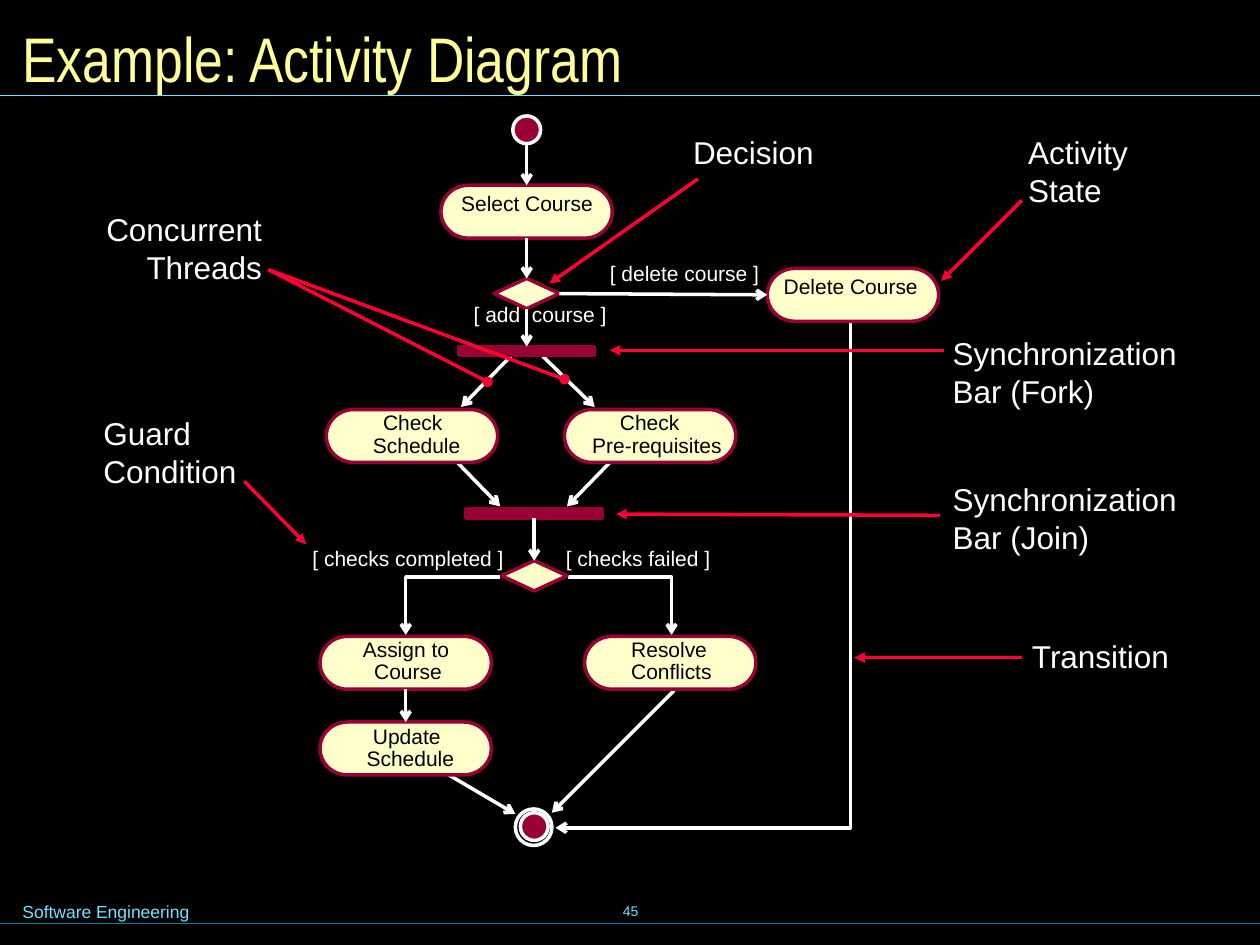
from dataclasses import dataclass

from lxml.etree import SubElement
from pptx import Presentation
from pptx.dml.color import RGBColor as RGB
from pptx.enum.shapes import MSO_CONNECTOR as CONN, MSO_SHAPE as SHAPE
from pptx.enum.text import MSO_ANCHOR as ANCHOR, PP_ALIGN as ALIGN
from pptx.oxml.ns import qn
from pptx.util import Inches, Pt


@dataclass(frozen=True)
class Theme:
    black: RGB = RGB.from_string("000000")
    white: RGB = RGB.from_string("FFFFFF")
    cream: RGB = RGB.from_string("FFFFCC")
    maroon: RGB = RGB.from_string("990033")
    red: RGB = RGB.from_string("FF0033")
    yellow: RGB = RGB.from_string("FFFF99")
    sky: RGB = RGB.from_string("73E1FF")
    teal: RGB = RGB.from_string("007E9F")
    title: int = 36
    callout: int = 18
    label: int = 12
    footer: int = 10
    number: int = 8
    stroke: float = 2
    rule: float = 0.75


T = Theme()

prs = Presentation()
prs.slide_width, prs.slide_height = Inches(10), Inches(7.5)
s = prs.slides.add_slide(prs.slide_layouts[6])
s.background.fill.solid()
s.background.fill.fore_color.rgb = T.black


def add_text(text, x, y, w, h, size=T.label, color=T.white, font="Arial",
             align=ALIGN.LEFT, anchor=ANCHOR.TOP, inset=(0, 0), wrap=True):
    tf = s.shapes.add_textbox(Inches(x), Inches(y), Inches(w), Inches(h)).text_frame
    tf.word_wrap = wrap
    tf.vertical_anchor = anchor
    tf.margin_left = tf.margin_right = Inches(inset[0])
    tf.margin_top = tf.margin_bottom = Inches(inset[1])
    for i, line in enumerate(text.split("\n")):
        p = tf.paragraphs[0] if i == 0 else tf.add_paragraph()
        p.alignment = align
        r = p.add_run()
        r.text = line
        r.font.name, r.font.size, r.font.color.rgb = font, Pt(size), color


def add_path(*points, color=T.white, width=T.stroke, end="arrow"):
    """Draw a connector through two points, or an open outline through more."""
    pts = [(Inches(x), Inches(y)) for x, y in points]
    if len(pts) == 2:
        sp = s.shapes.add_connector(CONN.STRAIGHT, *pts[0], *pts[1])
    else:
        builder = s.shapes.build_freeform(*pts[0])
        builder.add_line_segments(pts[1:], close=False)
        sp = builder.convert_to_shape()
        sp.fill.background()
    sp.line.color.rgb = color
    sp.line.width = Pt(width)
    if end:
        SubElement(sp.line._get_or_add_ln(), qn("a:tailEnd"), type=end)
    SubElement(sp._element.spPr, qn("a:effectLst"))
    return sp


# Title, rules and footer
add_path((0, 7.33), (10, 7.33), color=T.teal, width=T.rule, end=None)
add_path((0, 0.76), (10, 0.76), color=T.sky, width=T.rule, end=None)
add_text("45", 3.42, 6.98, 3.17, 0.5, size=T.number, color=T.sky,
         align=ALIGN.CENTER, anchor=ANCHOR.MIDDLE, inset=(0.1, 0.05))
add_text("Software Engineering", 0.08, 7.1, 2.95, 0.27, size=T.footer,
         color=T.sky, inset=(0.1, 0.05))
add_text("Example: Activity Diagram", 0.08, 0.08, 9.84, 0.75, size=T.title,
         color=T.yellow, font="Arial Narrow", anchor=ANCHOR.MIDDLE, inset=(0.1, 0.05))

# Transitions that start or end away from the middle of a side
for route in [
    [(3.61, 3.65), (3.97, 4.02)],
    [(4.86, 3.65), (4.5, 4.02)],
    [(4.09, 2.79), (3.66, 3.23)],
    [(4.28, 2.8), (4.72, 3.23)],
    [(3.51, 6.12), (4.09, 6.46)],
    [(5.35, 5.48), (4.38, 6.45)],
    [(6.75, 2.54), (6.75, 6.57), (4.41, 6.57)],
    [(3.97, 4.58), (3.22, 4.58), (3.22, 5.04)],
    [(4.51, 4.58), (5.33, 4.58), (5.33, 5.04)],
]:
    add_path(*route)

# Nodes
STATE = (SHAPE.FLOWCHART_TERMINATOR, 1.36, 0.42, T.cream, T.maroon)
DECISION = (SHAPE.DIAMOND, 0.52, 0.24, T.cream, T.maroon)
BAR = (SHAPE.RECTANGLE, 1.08, 0.07, T.maroon, T.maroon)
DOT = (SHAPE.OVAL, 0.22, 0.22, T.maroon, T.white)
RING = (SHAPE.OVAL, 0.29, 0.29, None, T.white)
nodes = {}
for name, (kind, w, h, fill, line), x, y in [
    ("start", DOT, 4.07, 0.92),
    ("select", STATE, 3.5, 1.47),
    ("delete", STATE, 6.09, 2.13),
    ("schedule", STATE, 2.59, 3.25),
    ("prerequisites", STATE, 4.48, 3.25),
    ("assign", STATE, 2.54, 5.05),
    ("resolve", STATE, 4.64, 5.05),
    ("update", STATE, 2.54, 5.73),
    ("choice", DECISION, 3.92, 2.21),
    ("check", DECISION, 3.98, 4.45),
    ("fork", BAR, 3.64, 2.75),
    ("join", BAR, 3.7, 4.04),
    ("end ring", RING, 4.09, 6.42),
    ("end", DOT, 4.13, 6.45),
]:
    sp = nodes[name] = s.shapes.add_shape(kind, Inches(x), Inches(y), Inches(w), Inches(h))
    sp.shadow.inherit = False
    if fill is None:
        sp.fill.background()
    else:
        sp.fill.solid()
        sp.fill.fore_color.rgb = fill
    sp.line.color.rgb = line
    sp.line.width = Pt(T.stroke)

# Transitions joined to the nodes
add_path((4.18, 1.14), (4.18, 1.47)).end_connect(nodes["select"], 0)
for source, side, target, target_side in [
    ("select", 2, "choice", 0),
    ("choice", 3, "delete", 1),
    ("choice", 2, "fork", 0),
    ("join", 2, "check", 0),
    ("assign", 2, "update", 0),
]:
    link = add_path((0, 0), (1, 1))
    link.begin_connect(nodes[source], side)
    link.end_connect(nodes[target], target_side)

# State names, line by line
for text, x, y, w in [
    ("Select Course", 3.66, 1.51, 1.05),
    ("Delete Course", 6.22, 2.17, 1.07),
    ("Check", 3.04, 3.25, 0.52),
    ("Schedule", 2.96, 3.43, 0.7),
    ("Check", 4.92, 3.25, 0.52),
    ("Pre-requisites", 4.7, 3.43, 1.03),
    ("Assign to", 2.88, 5.05, 0.73),
    ("Course", 2.97, 5.23, 0.54),
    ("Resolve", 5.01, 5.05, 0.65),
    ("Conflicts", 5.01, 5.23, 0.64),
    ("Update", 2.96, 5.74, 0.58),
    ("Schedule", 2.91, 5.92, 0.7),
]:
    add_text(text, x, y, w, 0.2, color=T.black, wrap=False)

# Guard conditions
for text, x, y, w in [
    ("[ delete course ]", 4.84, 2.07, 1.19),
    ("[ add  course ]", 3.76, 2.39, 1.1),
    ("[ checks completed ]", 2.48, 4.33, 1.52),
    ("[ checks failed ]", 4.49, 4.33, 1.15),
]:
    add_text(text, x, y, w, 0.2, wrap=False)

# Callouts and their pointers
for text, x, y, w, h, align in [
    ("Decision", 5.38, 1, 1.21, 0.42, ALIGN.LEFT),
    ("Activity State", 8.04, 1, 1.05, 0.72, ALIGN.LEFT),
    ("Concurrent Threads", 0.53, 1.61, 1.67, 0.72, ALIGN.RIGHT),
    ("Synchronization\nBar (Fork)", 7.44, 2.59, 2.05, 0.72, ALIGN.LEFT),
    ("Guard\nCondition", 0.7, 3.23, 1.31, 0.72, ALIGN.LEFT),
    ("Synchronization\nBar (Join)", 7.44, 3.75, 2.05, 0.72, ALIGN.LEFT),
    ("Transition", 8.07, 5, 1.42, 0.42, ALIGN.LEFT),
]:
    add_text(text, x, y, w, h, size=T.callout, align=align, inset=(0.12, 0.06))

for start, tip, end in [
    ((5.54, 1.42), (4.36, 2.25), "triangle"),
    ((8.11, 1.59), (7.47, 2.23), "triangle"),
    ((7.49, 2.78), (4.84, 2.78), "triangle"),
    ((1.94, 3.82), (2.43, 4.32), "triangle"),
    ((7.46, 4.09), (4.89, 4.08), "triangle"),
    ((8.11, 5.22), (6.78, 5.22), "triangle"),
    ((2.13, 2.14), (3.87, 3.03), "oval"),
    ((2.13, 2.14), (4.48, 3.01), "oval"),
]:
    add_path(start, tip, color=T.red, end=end)

prs.save("out.pptx")
